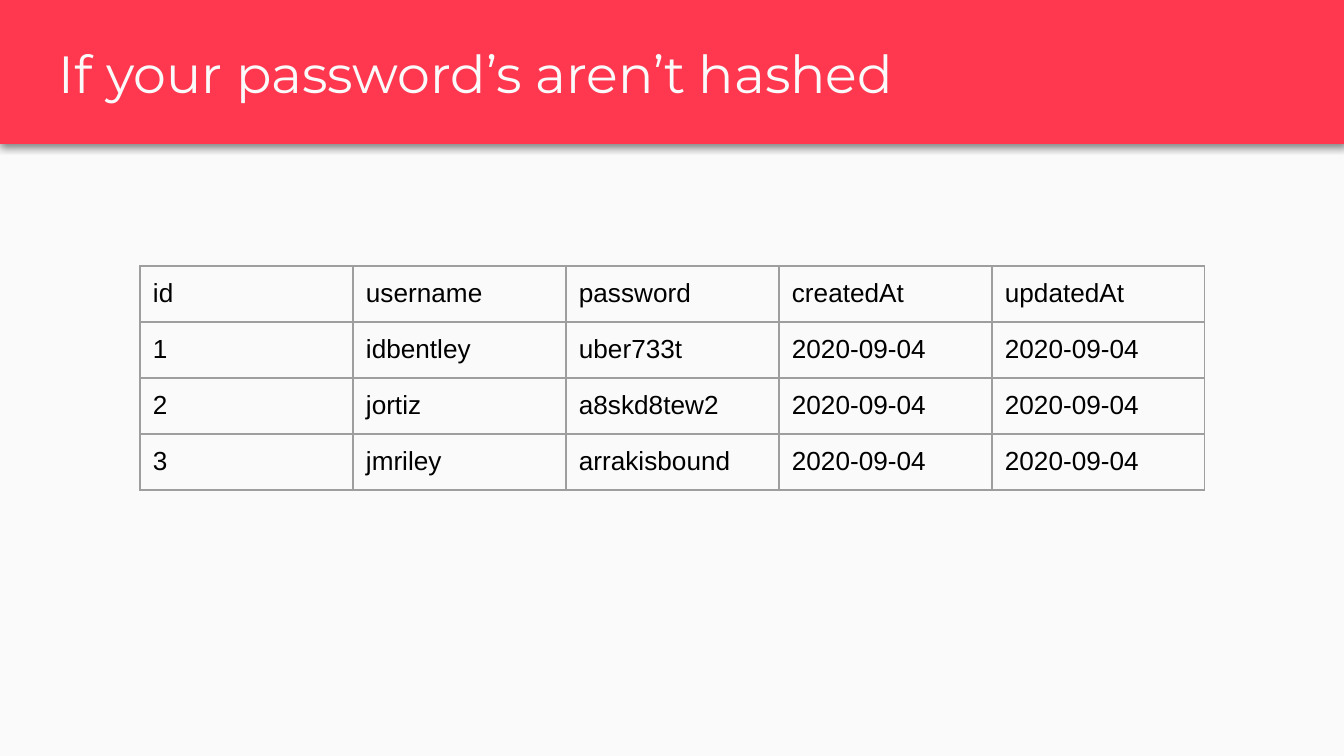
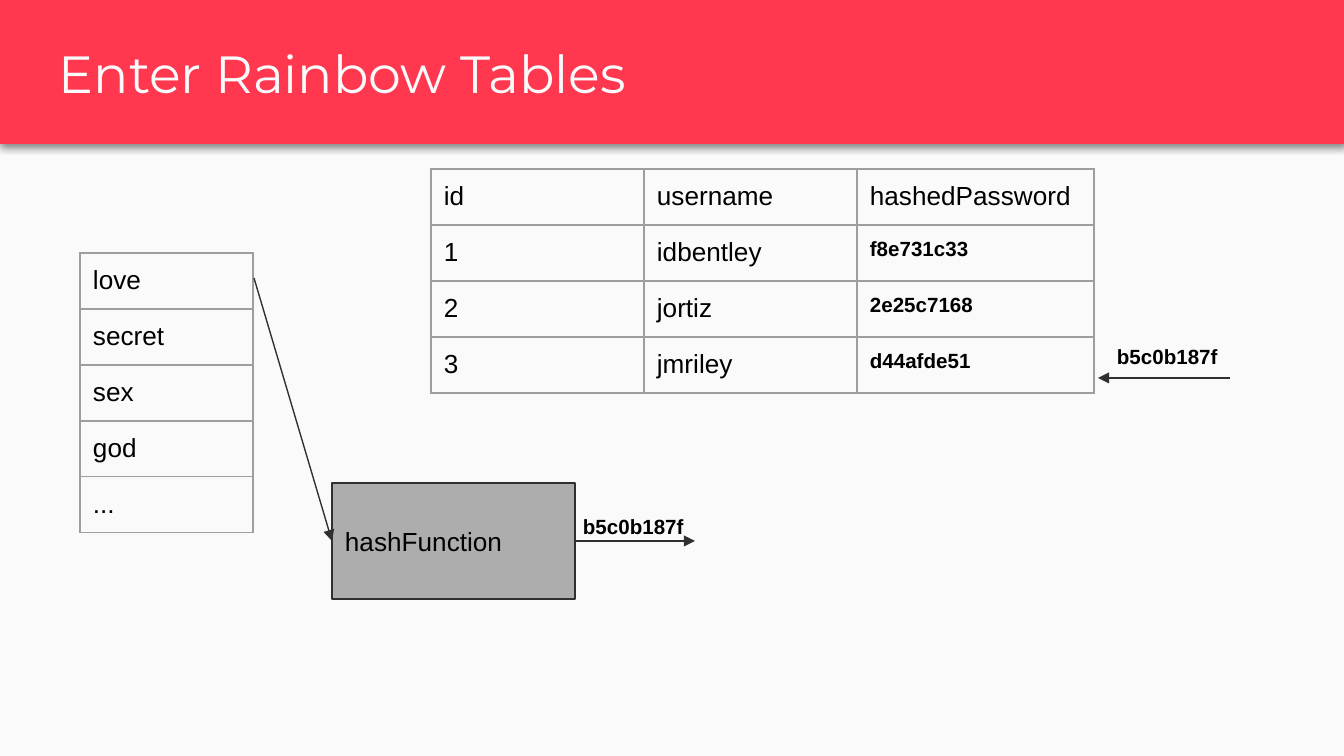
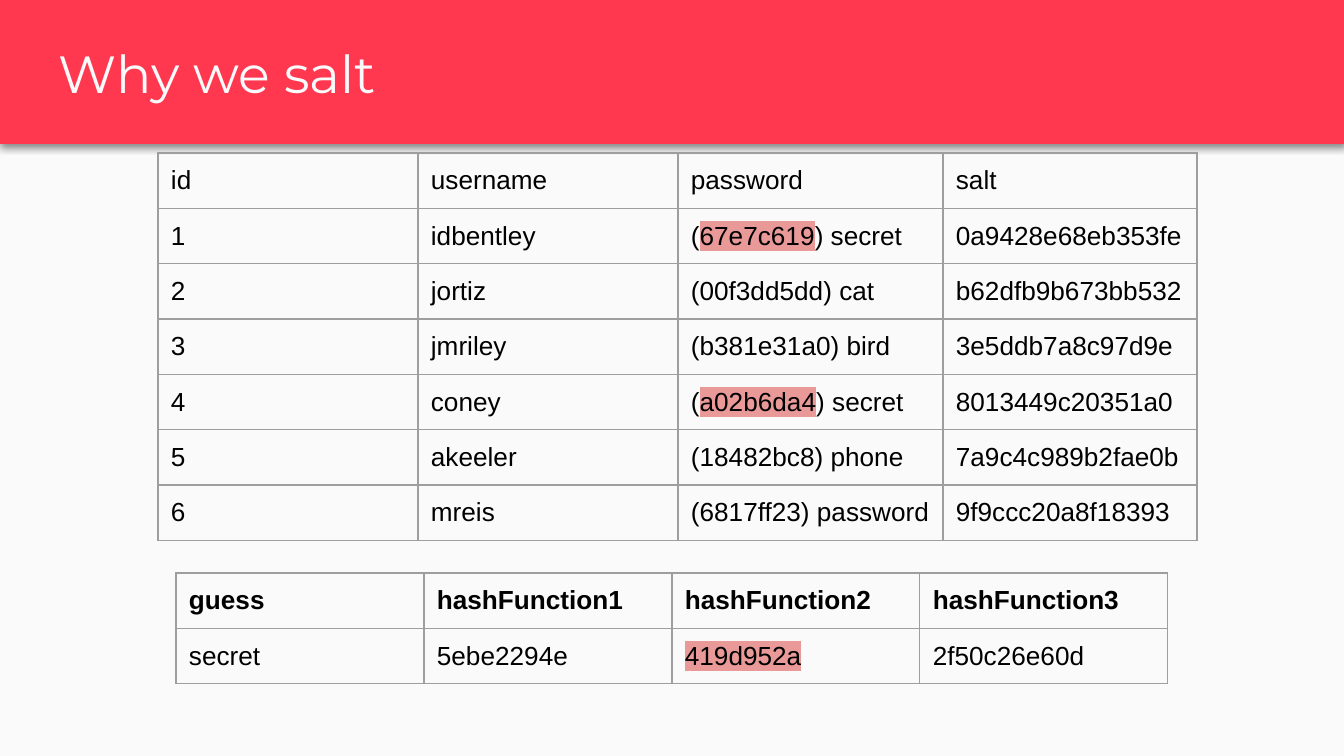
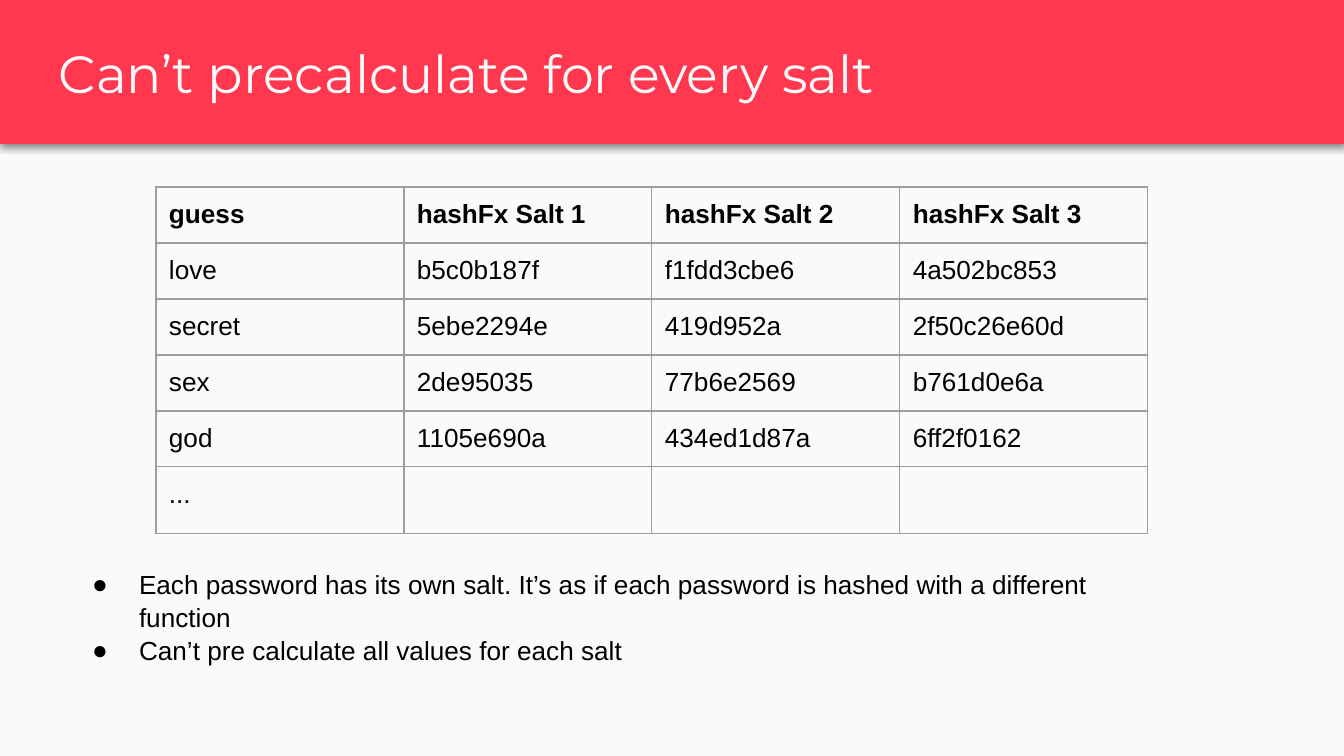
from lxml import etree
from pptx import Presentation
from pptx import util as u
from pptx.dml import color
from pptx.enum import shapes, text
from pptx.oxml import ns

EMU_PER_PX = 914400 / 134.4
WIDTH, HEIGHT = 1344, 756
TITLE_ONLY, TITLE_AND_BODY = 5, 1

RED, PAPER, BLACK = "FF3850", "FAFAFA", "000000"
DARK, GRAY, GRID, MARK = "303030", "ADADAD", "9E9E9E", "EA9999"


def px(length):
    return u.Emu(round(length * EMU_PER_PX))


def rgb(value):
    return color.RGBColor.from_string(value)


def add_xml(parent, tag, **attributes):
    return etree.SubElement(parent, ns.qn(tag), attributes)


def add_color(parent, value):
    return add_xml(parent, "a:srgbClr", val=value)


class Deck:
    title_font, body_font = "Montserrat", "Arial"
    inset = 13

    def __init__(self):
        self.deck = Presentation()
        self.deck.slide_width, self.deck.slide_height = px(WIDTH), px(HEIGHT)
        self.master = self.deck.slide_master
        fill = self.master.background.fill
        fill.solid()
        fill.fore_color.rgb = rgb(PAPER)
        self.slide = None

    def start_slide(self, title, layout=TITLE_ONLY):
        is_first = self.slide is None
        self.slide = self.deck.slides.add_slide(self.deck.slide_layouts[layout])
        if is_first:
            self.master_band()
        self.place(self.slide.shapes.title, 46, 28, 1253, 85)
        self.fill_text(self.slide.shapes.title.text_frame, [title], 28,
                       font=self.title_font, ink=PAPER)

    def master_band(self):
        """Draw the title band, then move it to the master behind its placeholders."""
        band = self.box(0, 0, WIDTH, 143, RED, RED)
        effects = band._element.spPr.find(ns.qn("a:effectLst"))
        shadow = add_xml(effects, "a:outerShdw", blurRad=str(u.Pt(4.5)),
                         dist=str(u.Pt(1.5)), dir="5400000", rotWithShape="0")
        add_xml(add_color(shadow, BLACK), "a:alpha", val="50000")
        self.master.shapes._spTree.insert(2, band._element)

    def place(self, shape, left, top, width, height):
        shape.left, shape.top = px(left), px(top)
        shape.width, shape.height = px(width), px(height)

    def set_margins(self, holder):
        for side in ("left", "right", "top", "bottom"):
            setattr(holder, f"margin_{side}", px(self.inset))

    def fill_text(self, frame, lines, size=14, bold=False, font=body_font, ink=BLACK,
                  anchor=text.MSO_ANCHOR.TOP, bulleted=False):
        """Fill a text frame; the parts of a line between bars are highlighted."""
        self.set_margins(frame)
        frame.word_wrap = True
        frame.auto_size = text.MSO_AUTO_SIZE.NONE
        frame.vertical_anchor = anchor
        for index, line in enumerate(lines):
            para = frame.add_paragraph() if index else frame.paragraphs[0]
            para.alignment = text.PP_ALIGN.LEFT
            if bulleted:
                self.bullet(para)
            self.style_line(para, line, size, bold, font, ink)

    def style_line(self, para, line, size, bold, font, ink):
        for index, part in enumerate(line.split("|")):
            if not part:
                continue
            span = para.add_run()
            span.text = part
            if index % 2:
                properties = span._r.get_or_add_rPr()
                add_color(add_xml(properties, "a:highlight"), MARK)
        para.font.size, para.font.bold, para.font.name = u.Pt(size), bold, font
        para.font.color.rgb = rgb(ink)

    def bullet(self, para):
        para.line_spacing, para.space_before = 1.05, u.Pt(0)
        properties = para._p.get_or_add_pPr()
        properties.set("marL", str(px(67)))
        properties.set("indent", str(px(-47)))
        add_color(add_xml(properties, "a:buClr"), BLACK)
        add_xml(properties, "a:buFont", typeface=self.body_font)
        add_xml(properties, "a:buChar", char="●")

    def body(self, left, top, width, height, lines):
        holder = self.slide.placeholders[1]
        self.place(holder, left, top, width, height)
        self.fill_text(holder.text_frame, lines, bulleted=True)

    def box(self, left, top, width, height, fill, line, label=None):
        box = self.slide.shapes.add_shape(
            shapes.MSO_SHAPE.RECTANGLE, px(left), px(top), px(width), px(height))
        box.fill.solid()
        box.fill.fore_color.rgb = rgb(fill)
        box.line.color.rgb = rgb(line)
        box.line.width = u.Pt(0.75)
        box.shadow.inherit = False
        if label:
            self.fill_text(box.text_frame, [label], anchor=text.MSO_ANCHOR.MIDDLE)
        return box

    def hash_label(self, left, top, label):
        box = self.slide.shapes.add_textbox(px(left), px(top), px(129), px(47))
        self.fill_text(box.text_frame, [label], size=11, bold=True)

    def arrow(self, start, end):
        arrow = self.slide.shapes.add_connector(
            shapes.MSO_CONNECTOR.STRAIGHT, *map(px, (*start, *end)))
        arrow.line.color.rgb = rgb(DARK)
        arrow.line.width = u.Pt(0.75)
        add_xml(arrow.line._get_or_add_ln(), "a:tailEnd", type="triangle")
        add_xml(arrow._element.spPr, "a:effectLst")

    def table(self, left, top, widths, row_height, rows,
              bold_header=False, hash_column=None):
        """Draw a grid; values below the header in hash_column are small and bold."""
        table = self.slide.shapes.add_table(
            len(rows), len(widths), px(left), px(top),
            px(sum(widths)), px(row_height * len(rows))).table
        table.first_row = table.horz_banding = False
        for column, width in zip(table.columns, widths):
            column.width = px(width)
        for row_index, row in enumerate(rows):
            table.rows[row_index].height = px(row_height)
            for column_index, value in enumerate(row):
                cell = table.cell(row_index, column_index)
                is_hash = row_index > 0 and column_index == hash_column
                is_header = bold_header and row_index == 0
                self.cell(cell, value, 11 if is_hash else 14, is_hash or is_header)

    def cell(self, cell, value, size, bold):
        self.set_margins(cell)
        cell.fill.background()
        properties = cell._tc.get_or_add_tcPr()
        for index, tag in enumerate(("a:lnL", "a:lnR", "a:lnT", "a:lnB")):
            border = add_xml(properties, tag, w=str(u.Pt(0.75)))
            add_color(add_xml(border, "a:solidFill"), GRID)
            properties.insert(index, border)
        if value:
            self.style_line(cell.text_frame.paragraphs[0], value, size, bold,
                            self.body_font, BLACK)


def plain_passwords(deck):
    deck.start_slide("If your password’s aren’t hashed")
    users = [("1", "idbentley", "uber733t"),
             ("2", "jortiz", "a8skd8tew2"),
             ("3", "jmriley", "arrakisbound")]
    header = ("id", "username", "password", "createdAt", "updatedAt")
    dates = ("2020-09-04",) * 2
    deck.table(140, 266, [213] * 5, 56, [header] + [user + dates for user in users])


def rainbow_tables(deck):
    deck.start_slide("Enter Rainbow Tables")
    guesses = ("love", "secret", "sex", "god", "...")
    deck.table(80, 253, [173], 56, [(guess,) for guess in guesses])
    deck.box(332, 483, 243, 116, GRAY, DARK, "hashFunction")
    deck.table(431, 169, [213, 213, 237], 56, [
        ("id", "username", "hashedPassword"),
        ("1", "idbentley", "f8e731c33"),
        ("2", "jortiz", "2e25c7168"),
        ("3", "jmriley", "d44afde51"),
    ], hash_column=2)
    deck.arrow((254, 278), (332, 541))
    deck.arrow((575, 541), (695, 541))
    deck.arrow((1230, 378), (1098, 378))
    for left, top in ((570, 501), (1104, 331)):
        deck.hash_label(left, top, "b5c0b187f")


def why_salt(deck):
    deck.start_slide("Why we salt")
    deck.table(158, 153, [260, 260, 265, 254], 35, [
        ("id", "username", "password", "salt"),
        ("1", "idbentley", "(|67e7c619|) secret", "0a9428e68eb353fe"),
        ("2", "jortiz", "(00f3dd5dd) cat", "b62dfb9b673bb532"),
        ("3", "jmriley", "(b381e31a0) bird", "3e5ddb7a8c97d9e"),
        ("4", "coney", "(|a02b6da4|) secret", "8013449c20351a0"),
        ("5", "akeeler", "(18482bc8) phone", "7a9c4c989b2fae0b"),
        ("6", "mreis", "(6817ff23) password", "9f9ccc20a8f18393"),
    ])
    deck.table(176, 573, [248] * 4, 44, [
        ("guess", "hashFunction1", "hashFunction2", "hashFunction3"),
        ("secret", "5ebe2294e", "|419d952a|", "2f50c26e60d"),
    ], bold_header=True)


def salted_guesses(deck):
    deck.start_slide("Can’t precalculate for every salt", TITLE_AND_BODY)
    deck.table(156, 187, [248] * 4, 56, [
        ("guess", "hashFx Salt 1", "hashFx Salt 2", "hashFx Salt 3"),
        ("love", "b5c0b187f", "f1fdd3cbe6", "4a502bc853"),
        ("secret", "5ebe2294e", "419d952a", "2f50c26e60d"),
        ("sex", "2de95035", "77b6e2569", "b761d0e6a"),
        ("god", "1105e690a", "434ed1d87a", "6ff2f0162"),
        ("...", "", "", ""),
    ], bold_header=True)
    deck.body(59, 554, 1136, 176, [
        "Each password has its own salt. It’s as if each password is hashed "
        "with a different function",
        "Can’t pre calculate all values for each salt",
    ])


def main():
    deck = Deck()
    for build in (plain_passwords, rainbow_tables, why_salt, salted_guesses):
        build(deck)
    deck.deck.save("out.pptx")


if __name__ == "__main__":
    main()
